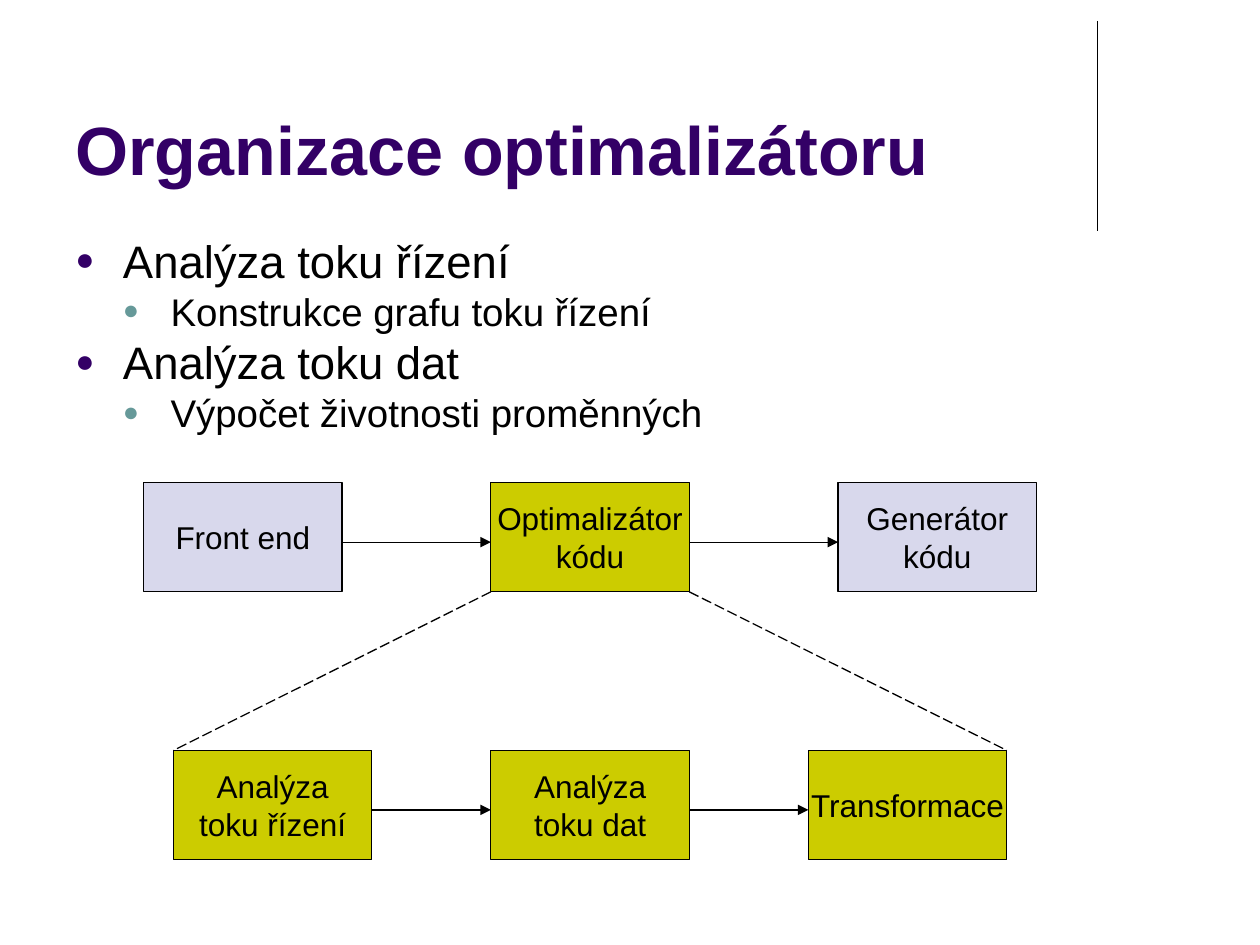
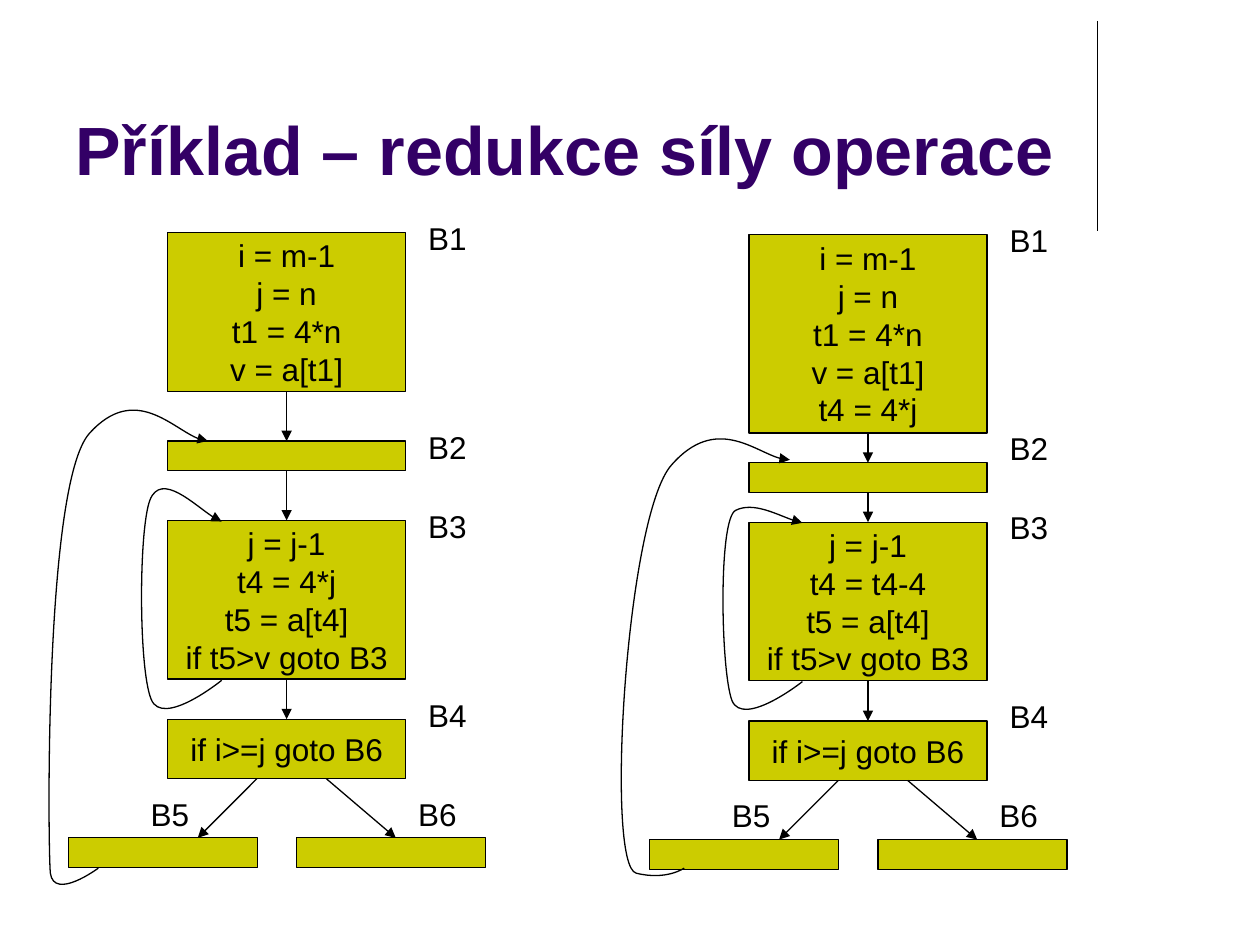
from dataclasses import dataclass

from pptx import Presentation
from pptx.dml.color import RGBColor
from pptx.enum import dml, shapes, text
from pptx.oxml import ns, xmlchemy as xml
from pptx.util import Pt

Point = tuple[float, float]


@dataclass(frozen=True)
class Theme:
    font: str = "Arial"
    ink: str = "000000"
    title: str = "330066"
    minor: str = "669999"
    olive: str = "CCCC00"
    pale: str = "D8D8EC"
    head: float = 39
    body: float = 26
    sub: float = 22
    note: float = 18
    line: float = 0.75


THEME = Theme()


@dataclass(frozen=True)
class Box:
    left: float
    top: float
    width: float
    height: float
    label: str = ""
    fill: str = THEME.olive

    @property
    def right(self) -> float:
        return self.left + self.width

    @property
    def base(self) -> float:
        return self.top + self.height

    @property
    def mid(self) -> float:
        return self.left + self.width / 2


@dataclass(frozen=True)
class Item:
    label: str
    level: int = 0


@dataclass(frozen=True)
class Flow:
    """One flow graph: its corner, the code of B1 and B3, its two loops."""
    left: float
    top: float
    start: str
    body: str
    inner: list[Point]
    outer: list[Point]


ITEMS = [
    Item("Analýza toku řízení"),
    Item("Konstrukce grafu toku řízení", 1),
    Item("Analýza toku dat"),
    Item("Výpočet životnosti proměnných", 1),
]
ROW = 22.68  # height of a code line
SLIM = 17  # height of an empty block
START = "i = m-1\nj = n\nt1 = 4*n\nv = a[t1]"
FLOWS = [
    Flow(
        95.8, 133, START,
        "j = j-1\nt4 = 4*j\nt5 = a[t4]\nif t5>v goto B3",
        [(126.7, 388.8), (126.7, 388.8), (92.9, 416.2), (86.4, 399.6),
         (79.2, 382.3), (79.2, 303.1), (85.7, 285.8),
         (92.2, 269.3), (118.1, 295.2), (126.7, 298.1)],
        [(56.2, 496.1), (56.2, 496.1), (31, 514.8), (28.8, 499),
         (27.4, 483.8), (25.2, 276.5), (51.1, 247.7),
         (77, 218.9), (104.4, 251.3), (118.8, 252)],
    ),
    Flow(
        428, 134, START + "\nt4 = 4*j",
        "j = j-1\nt4 = t4-4\nt5 = a[t4]\nif t5>v goto B3",
        [(458.6, 389.5), (458.6, 389.5), (424.8, 416.2), (418.3, 400.3),
         (411.8, 383), (410.4, 295.9), (420.5, 291.6),
         (430.6, 286.6), (450.7, 297.4), (458.6, 298.8)],
        [(391, 496.1), (391, 496.1), (380.9, 503.3), (363.6, 499),
         (345.6, 494.6), (357.8, 294.5), (383.8, 265.7),
         (409, 236.9), (437.8, 263.5), (451.4, 262.8)],
    ),
]


def color(code: str) -> RGBColor:
    return RGBColor.from_string(code)


def child(parent, tag: str, **attrs: str):
    node = xml.OxmlElement(tag)
    for name, value in attrs.items():
        node.set(name, value)
    parent.append(node)
    return node


def write(shape, label: str, *, size: float = THEME.note, ink: str = THEME.ink,
          bold: bool = False, align=text.PP_ALIGN.LEFT,
          anchor=text.MSO_ANCHOR.TOP, wrap: bool = False) -> list:
    """Fill a shape with one paragraph per line and return the paragraphs."""
    frame = shape.text_frame
    frame.text = label
    frame.word_wrap = wrap
    frame.vertical_anchor = anchor
    for para in frame.paragraphs:
        para.alignment = align
        font = para.font
        font.name, font.size, font.bold = THEME.font, Pt(size), bold
        font.color.rgb = color(ink)
    return list(frame.paragraphs)


def area(slide, box: Box, **form) -> list:
    shape = slide.shapes.add_textbox(
        Pt(box.left), Pt(box.top), Pt(box.width), Pt(box.height))
    return write(shape, box.label, **form)


def block(slide, box: Box) -> None:
    shape = slide.shapes.add_shape(
        shapes.MSO_SHAPE.RECTANGLE,
        Pt(box.left), Pt(box.top), Pt(box.width), Pt(box.height))
    shape.shadow.inherit = False
    shape.fill.solid()
    shape.fill.fore_color.rgb = color(box.fill)
    stroke(shape)
    if box.label:
        write(shape, box.label, align=text.PP_ALIGN.CENTER,
              anchor=text.MSO_ANCHOR.MIDDLE)


def stroke(shape, arrow: bool = False) -> None:
    shape.line.color.rgb = color(THEME.ink)
    shape.line.width = Pt(THEME.line)
    if arrow:
        child(shape.line._get_or_add_ln(), "a:tailEnd", type="triangle")


def link(slide, start: Point, end: Point, *, arrow: bool = True,
         dash: bool = False) -> None:
    line = slide.shapes.add_connector(
        shapes.MSO_CONNECTOR.STRAIGHT, *(Pt(v) for v in start + end))
    stroke(line, arrow)
    if dash:
        line.line.dash_style = dml.MSO_LINE.LONG_DASH
    child(line._element.spPr, "a:effectLst")


def curve(slide, points: list[Point]) -> None:
    """Draw a Bézier arrow: a start, then three points for each segment."""
    first, *rest = [(Pt(x), Pt(y)) for x, y in points]
    pen = slide.shapes.build_freeform(*first)
    pen.add_line_segments(rest, close=False)
    shape = pen.convert_to_shape()
    legs = shape._element.xpath(".//a:lnTo")
    for lead, *others in zip(legs[::3], legs[1::3], legs[2::3]):
        lead.tag = ns.qn("a:cubicBezTo")
        for leg in others:
            lead.append(leg[0])
            leg.getparent().remove(leg)
    shape.shadow.inherit = False
    shape.fill.background()
    stroke(shape, arrow=True)


def page(deck, title: str):
    slide = deck.slides.add_slide(deck.slide_layouts[6])
    link(slide, (627, 12), (627, 132), arrow=False)
    area(slide, Box(36, 9.4, 594, 102, title), size=THEME.head,
         ink=THEME.title, bold=True, anchor=text.MSO_ANCHOR.BOTTOM, wrap=True)
    return slide


def bullets(slide, box: Box, items: list[Item]) -> None:
    sizes = (THEME.body, THEME.sub)
    inks = (THEME.title, THEME.minor)
    paras = area(slide, box, wrap=True)
    for item, para in zip(items, paras):
        size = sizes[item.level]
        para.font.size = Pt(size)
        para.line_spacing = 0.8
        para.space_before = Pt(size / 4)
        props = para._p.get_or_add_pPr()
        props.set("marL", str(Pt(27.2 * (item.level + 1))))
        props.set("indent", str(-Pt(27.2)))
        # Bullet marks precede the default run format in the schema.
        form = props.find(ns.qn("a:defRPr"))
        tint = child(props, "a:buClr")
        child(tint, "a:srgbClr", val=inks[item.level])
        child(props, "a:buSzPct", val="70000")
        child(props, "a:buFont", typeface=THEME.font)
        child(props, "a:buChar", char="●")
        if form is not None:
            props.append(form)


def chain(slide, top: float, step: float, labels: list[str],
          fills: list[str]) -> list[Box]:
    """Draw a row of linked blocks, centred on the optimizer."""
    width, height, center = 113.4, 62.4, 337.2
    boxes = [
        Box(center - width / 2 + (i - 1) * step, top, width, height, label, fill)
        for i, (label, fill) in enumerate(zip(labels, fills))
    ]
    for box in boxes:
        block(slide, box)
    for one, two in zip(boxes, boxes[1:]):
        link(slide, (one.right, top + 34), (two.left, top + 34))
    return boxes


def graph(slide, flow: Flow) -> None:
    x, y, width = flow.left, flow.top, 136
    b1 = Box(x, y, width, ROW * len(flow.start.splitlines()), flow.start)
    b3 = Box(x, y + 164.4, width, ROW * 4, flow.body)
    b2 = Box(x, (b1.base + b3.top - SLIM) / 2, width, SLIM)
    b4 = Box(x, y + 278, width, 34, "if i>=j goto B6")
    b5 = Box(x - 56.7, y + 345.8, 108, SLIM)
    b6 = Box(x + 73.7, b5.top, 108, SLIM)
    for box in (b1, b2, b3, b4, b5, b6):
        block(slide, box)
    stack = (b1, b2, b3, b4)
    for one, two in zip(stack, stack[1:]):
        link(slide, (one.mid, one.base), (two.mid, two.top))
    link(slide, (x + 51, b4.base), (x + 17.2, b5.top))
    link(slide, (x + 90.7, b4.base), (x + 130.4, b6.top))
    spots = [(141.8, -11.4), (141.8, 107.8), (141.8, 153),
             (141.8, 261), (-16.8, 317.6), (136, 317.6)]
    for i, (dx, dy) in enumerate(spots, 1):
        area(slide, Box(x + dx, y + dy, 40, 28.8, f"B{i}"))
    curve(slide, flow.inner)
    curve(slide, flow.outer)


def main() -> None:
    deck = Presentation()
    deck.slide_width, deck.slide_height = Pt(720), Pt(540)

    slide = page(deck, "Organizace optimalizátoru")
    label = "\n".join(item.label for item in ITEMS)
    bullets(slide, Box(36, 135.4, 648, 123, label), ITEMS)
    upper = chain(slide, 275.8, 198.4,
                  ["Front end", "Optimalizátor\nkódu", "Generátor\nkódu"],
                  [THEME.pale, THEME.olive, THEME.pale])
    lower = chain(slide, 428.8, 181.4,
                  ["Analýza\ntoku řízení", "Analýza\ntoku dat", "Transformace"],
                  [THEME.olive] * 3)
    core, first, last = upper[1], lower[0], lower[-1]
    for start, end in ((core.left, first.left), (core.right, last.right)):
        link(slide, (start, core.base), (end, first.top), arrow=False, dash=True)

    slide = page(deck, "Příklad – redukce síly operace")
    for flow in FLOWS:
        graph(slide, flow)

    deck.save("out.pptx")


if __name__ == "__main__":
    main()
